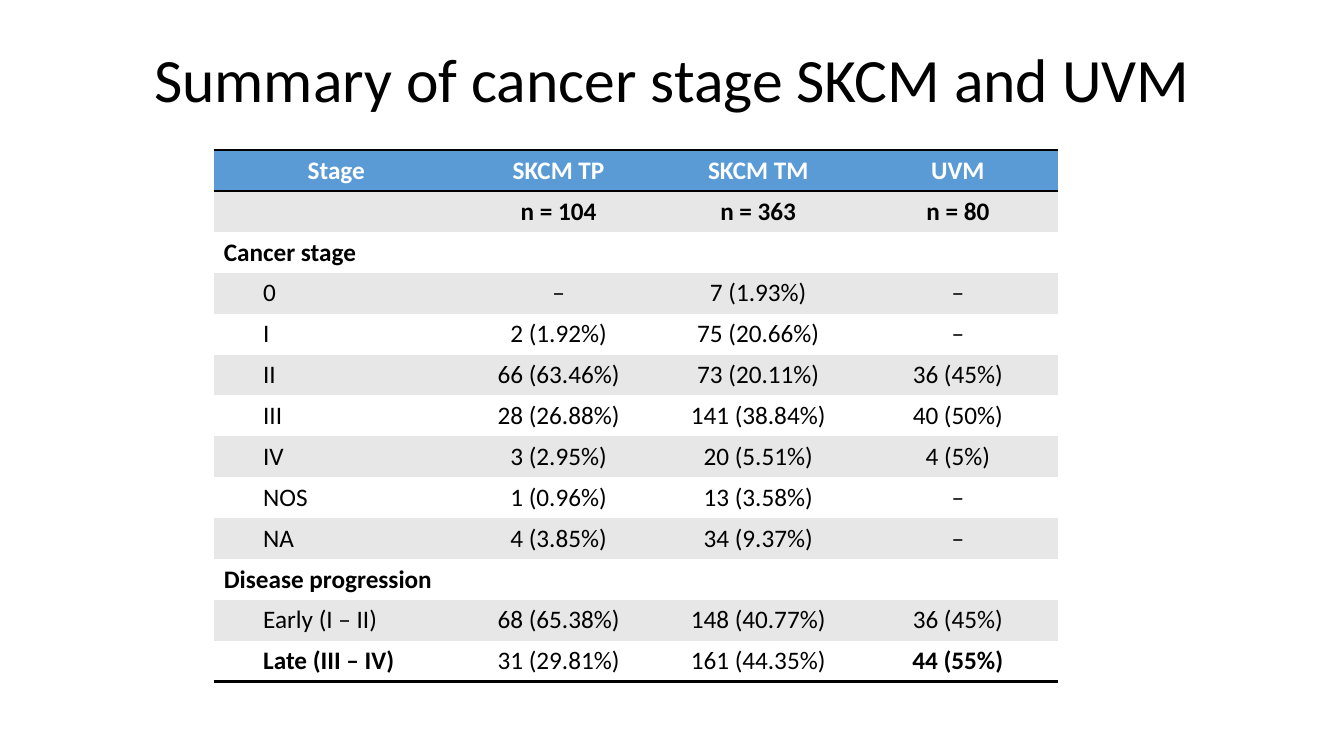
"""Build the cancer stage summary slide for SKCM and UVM."""
from dataclasses import dataclass

import lxml.etree
import pptx
import pptx.dml.color
import pptx.enum.text
import pptx.oxml.ns
import pptx.util

Inches = pptx.util.Inches
Pt = pptx.util.Pt
Align = pptx.enum.text.PP_ALIGN
Anchor = pptx.enum.text.MSO_ANCHOR
qn = pptx.oxml.ns.qn


@dataclass(frozen=True)
class Theme:
    font: str = "Calibri"
    title_size: int = 44
    table_size: int = 18
    rule_width: int = 2
    text: str = "000000"
    header_text: str = "FFFFFF"
    header_fill: str = "5B9BD5"
    band_fills: tuple = ("FFFFFF", "E7E7E7")
    plain_table_style: str = "{2D5ABB26-0587-4C30-8999-92F81FD0307C}"


TITLE = "Summary of cancer stage SKCM and UVM"
ROWS = [
    ("Stage", "SKCM TP", "SKCM TM", "UVM"),
    ("", "n = 104", "n = 363", "n = 80"),
    ("Cancer stage", "", "", ""),
    ("0", "–", "7 (1.93%)", "–"),
    ("I", "2 (1.92%)", "75 (20.66%)", "–"),
    ("II", "66 (63.46%)", "73 (20.11%)", "36 (45%)"),
    ("III", "28 (26.88%)", "141 (38.84%)", "40 (50%)"),
    ("IV", "3 (2.95%)", "20 (5.51%)", "4 (5%)"),
    ("NOS", "1 (0.96%)", "13 (3.58%)", "–"),
    ("NA", "4 (3.85%)", "34 (9.37%)", "–"),
    ("Disease progression", "", "", ""),
    ("Early (I – II)", "68 (65.38%)", "148 (40.77%)", "36 (45%)"),
    ("Late (III – IV)", "31 (29.81%)", "161 (44.35%)", "44 (55%)"),
]
SECTIONS = ("Cancer stage", "Disease progression")
HIGHLIGHTS = ("Late (III – IV)", "44 (55%)")
COLUMN_WIDTHS = (2.43, 1.98, 1.98, 1.98)


class SlideBuilder:
    """Draw the elements of a slide in one style."""

    def __init__(self, slide, theme):
        self.slide = slide
        self.theme = theme

    def style(self, paragraph, size, color, bold=False, align=Align.CENTER):
        paragraph.alignment = align
        font = paragraph.font
        font.name = self.theme.font
        font.size = Pt(size)
        font.bold = bold
        font.color.rgb = pptx.dml.color.RGBColor.from_string(color)

    def title(self, text, left, top, width, height):
        shape = self.slide.shapes.title
        shape.left, shape.top = Inches(left), Inches(top)
        shape.width, shape.height = Inches(width), Inches(height)
        shape.text_frame.text = text
        shape.text_frame.vertical_anchor = Anchor.MIDDLE
        paragraph = shape.text_frame.paragraphs[0]
        paragraph.line_spacing = 0.9
        self.style(paragraph, self.theme.title_size, self.theme.text)

    def rule(self, cell, side):
        properties = cell._tc.get_or_add_tcPr()
        line = lxml.etree.SubElement(properties, qn(f"a:{side}"), w=str(Pt(self.theme.rule_width)))
        fill = lxml.etree.SubElement(line, qn("a:solidFill"))
        lxml.etree.SubElement(fill, qn("a:srgbClr"), val=self.theme.text)

    def cell(self, cell, text, row, column):
        header = row == 0
        if header:
            self.rule(cell, "lnT")
        if header or row == len(ROWS) - 1:
            self.rule(cell, "lnB")
        fill = self.theme.header_fill if header else self.theme.band_fills[row % 2]
        cell.fill.solid()
        cell.fill.fore_color.rgb = pptx.dml.color.RGBColor.from_string(fill)

        cell.text = text
        if column > 0:
            cell.vertical_anchor = Anchor.MIDDLE
        paragraph = cell.text_frame.paragraphs[0]
        label = column == 0 and not header
        if label and row > 1 and text not in SECTIONS:
            paragraph._p.get_or_add_pPr().set("indent", str(Inches(0.39)))
        self.style(
            paragraph,
            self.theme.table_size,
            self.theme.header_text if header else self.theme.text,
            bold=row < 2 or text in SECTIONS + HIGHLIGHTS,
            align=Align.LEFT if label else Align.CENTER,
        )

    def table(self, rows, widths, left, top, height):
        frame = self.slide.shapes.add_table(
            len(rows), len(widths), Inches(left), Inches(top), Inches(sum(widths)), Inches(height)
        )
        table = frame.table
        table.first_row = True
        table.horz_banding = False
        table._tbl.tblPr.find(qn("a:tableStyleId")).text = self.theme.plain_table_style
        for column, width in zip(table.columns, widths):
            column.width = Inches(width)
        for row, texts in enumerate(rows):
            for column, text in enumerate(texts):
                self.cell(table.cell(row, column), text, row, column)


def main():
    presentation = pptx.Presentation()
    presentation.slide_width = Inches(13.33)
    presentation.slide_height = Inches(7.5)
    slide = presentation.slides.add_slide(presentation.slide_layouts.get_by_name("Title Only"))
    builder = SlideBuilder(slide, Theme())
    builder.title(TITLE, 0.92, 0.4, 11.5, 0.83)
    builder.table(ROWS, COLUMN_WIDTHS, 2.12, 1.49, 5.27)
    presentation.save("out.pptx")


if __name__ == "__main__":
    main()
